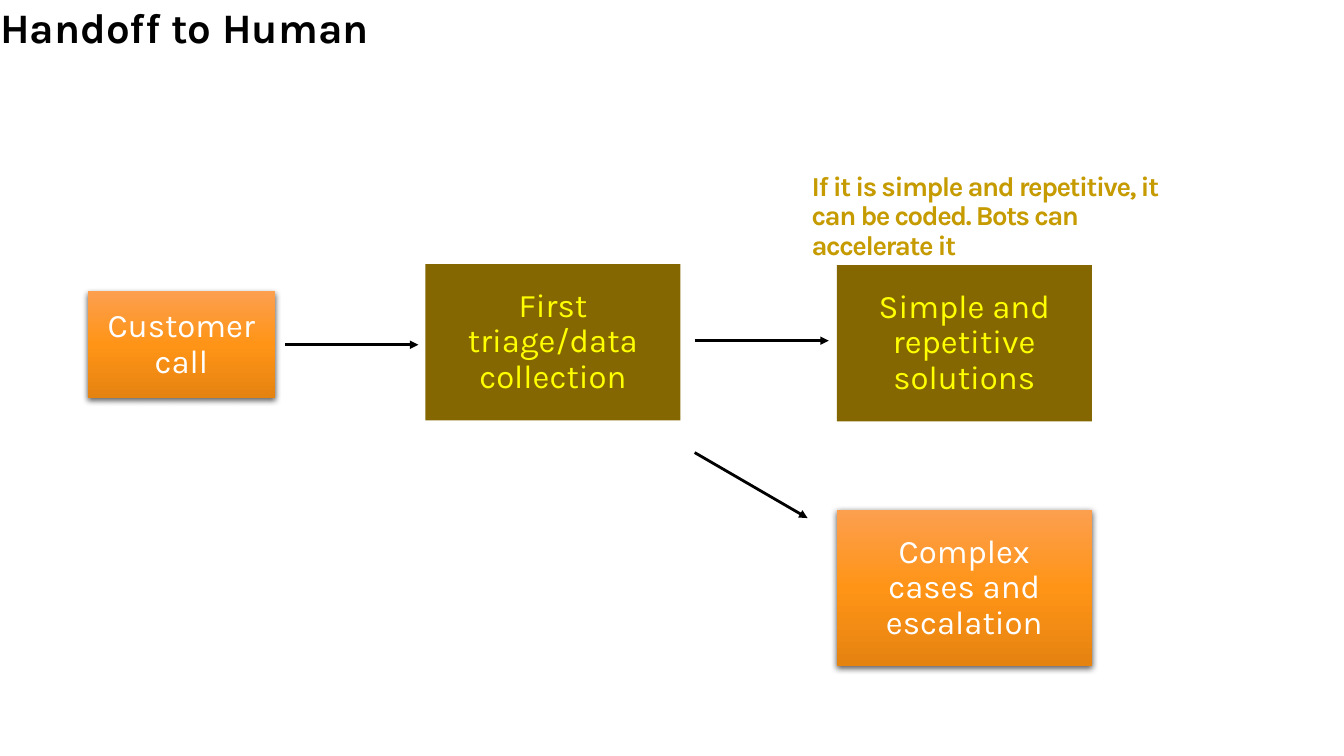
from lxml.etree import SubElement
from pptx import Presentation
from pptx.dml.color import RGBColor
from pptx.enum.shapes import MSO_CONNECTOR, MSO_SHAPE
from pptx.enum.text import MSO_ANCHOR, MSO_AUTO_SIZE, PP_ALIGN
from pptx.oxml import parse_xml
from pptx.oxml.ns import nsdecls, qn
from pptx.util import Inches, Pt

BLACK = RGBColor(0x00, 0x00, 0x00)
WHITE = RGBColor(0xFF, 0xFF, 0xFF)
OLIVE = RGBColor(0x84, 0x67, 0x00)
YELLOW = RGBColor(0xFF, 0xFF, 0x00)
GOLD = RGBColor(0xC5, 0x9B, 0x00)
ORANGE_STOPS = (
    (0, RGBColor(0xFC, 0x9F, 0x4F)),
    (50, RGBColor(0xFF, 0x94, 0x16)),
    (100, RGBColor(0xE5, 0x83, 0x11)),
)

SLIDE_W, SLIDE_H = 13.33, 7.5
FONT = "Karla"

# Flow grid: left edges of the three columns, tops of the two outcome rows
CALL_X, TRIAGE_X, OUTCOME_X = 0.87, 4.22, 8.3
SIMPLE_Y, COMPLEX_Y = 2.63, 5.06
STEP_W, STEP_H = 2.53, 1.55
CALL_W, CALL_H = 1.86, 1.06


def write(holder, text, size, color, bold=False, align=PP_ALIGN.LEFT,
          anchor=MSO_ANCHOR.TOP, inset=(0, 0), spacing=None):
    """Fill a shape with one formatted paragraph; inset is (sides, top/bottom)."""
    frame = holder.text_frame
    frame.word_wrap = True
    frame.auto_size = MSO_AUTO_SIZE.NONE
    frame.vertical_anchor = anchor
    frame.margin_left = frame.margin_right = Inches(inset[0])
    frame.margin_top = frame.margin_bottom = Inches(inset[1])
    paragraph = frame.paragraphs[0]
    paragraph.alignment = align
    paragraph.line_spacing = 0.9
    run = paragraph.add_run()
    run.text = text
    run.font.name = FONT
    run.font.size = Pt(size)
    run.font.bold = bold
    run.font.color.rgb = color
    if spacing is not None:
        run.font._element.set("spc", str(int(spacing * 100)))


def glow_orange(step):
    """Give a step the vertical orange gradient and a soft shadow."""
    stops = "".join(f'<a:gs pos="{share * 1000}"><a:srgbClr val="{color}"/></a:gs>'
                    for share, color in ORANGE_STOPS)
    properties = step._element.spPr
    properties.find(qn("a:prstGeom")).addnext(parse_xml(
        f'<a:gradFill {nsdecls("a")} rotWithShape="1"><a:gsLst>{stops}</a:gsLst>'
        '<a:lin ang="5400000" scaled="0"/></a:gradFill>'))
    properties.find(qn("a:effectLst")).append(parse_xml(
        f'<a:outerShdw {nsdecls("a")} blurRad="{Pt(4.5)}" dist="{Pt(1.5)}" '
        'dir="5400000" algn="ctr" rotWithShape="0">'
        f'<a:srgbClr val="{BLACK}"><a:alpha val="63000"/></a:srgbClr></a:outerShdw>'))


def add_step(slide, text, left, top, width=STEP_W, height=STEP_H, automated=False):
    """Place one flow step: olive when a bot does it, orange when a person does."""
    step = slide.shapes.add_shape(MSO_SHAPE.RECTANGLE, Inches(left), Inches(top),
                                  Inches(width), Inches(height))
    step.shadow.inherit = False
    step.line.fill.background()
    if automated:
        step.fill.solid()
        step.fill.fore_color.rgb = OLIVE
    else:
        glow_orange(step)
    write(step, text, 23.5, YELLOW if automated else WHITE, align=PP_ALIGN.CENTER,
          anchor=MSO_ANCHOR.MIDDLE, inset=(0.18, 0.16))


def add_arrow(slide, start, end):
    arrow = slide.shapes.add_connector(MSO_CONNECTOR.STRAIGHT,
                                       *map(Inches, (*start, *end)))
    arrow.line.color.rgb = BLACK
    arrow.line.width = Pt(2)
    SubElement(arrow.line._get_or_add_ln(), qn("a:tailEnd"), type="triangle")
    SubElement(arrow._element.spPr, qn("a:effectLst"))


def add_heading(slide, left, top, width, height):
    heading = slide.shapes.title
    heading.left, heading.top = Inches(left), Inches(top)
    heading.width, heading.height = Inches(width), Inches(height)
    write(heading, "Handoff to Human", 30, BLACK, bold=True)


def add_flow(slide):
    # Steps
    add_step(slide, "Customer call", CALL_X, 2.89, CALL_W, CALL_H)
    add_step(slide, "First triage/data collection", TRIAGE_X, 2.62, automated=True)
    add_step(slide, "Simple and repetitive solutions", OUTCOME_X, SIMPLE_Y,
             automated=True)
    add_step(slide, "Complex cases and escalation", OUTCOME_X, COMPLEX_Y)

    # Arrows between the columns
    call_exit = CALL_X + CALL_W + 0.1
    triage_exit = TRIAGE_X + STEP_W + 0.14
    call_y, simple_y = 3.42, 3.38
    add_arrow(slide, (call_exit, call_y), (TRIAGE_X - 0.07, call_y))
    add_arrow(slide, (triage_exit, simple_y), (OUTCOME_X - 0.08, simple_y))
    add_arrow(slide, (triage_exit, 4.49), (OUTCOME_X - 0.29, COMPLEX_Y + 0.08))


def add_bot_note(slide, left, top, width, height):
    note = slide.shapes.add_textbox(Inches(left), Inches(top),
                                    Inches(width), Inches(height))
    write(note, "If it is simple and repetitive, it can be coded. "
          "Bots can accelerate it", 19.6, GOLD, bold=True,
          inset=(0.16, 0.1), spacing=-1)


def main():
    deck = Presentation()
    deck.slide_width, deck.slide_height = Inches(SLIDE_W), Inches(SLIDE_H)
    slide = deck.slides.add_slide(deck.slide_layouts[5])
    add_heading(slide, 0, 0.07, 12.75, 0.98)
    add_flow(slide)
    add_bot_note(slide, OUTCOME_X - 0.41, 1.61, 3.79, 1.68)
    deck.save("out.pptx")


if __name__ == "__main__":
    main()
